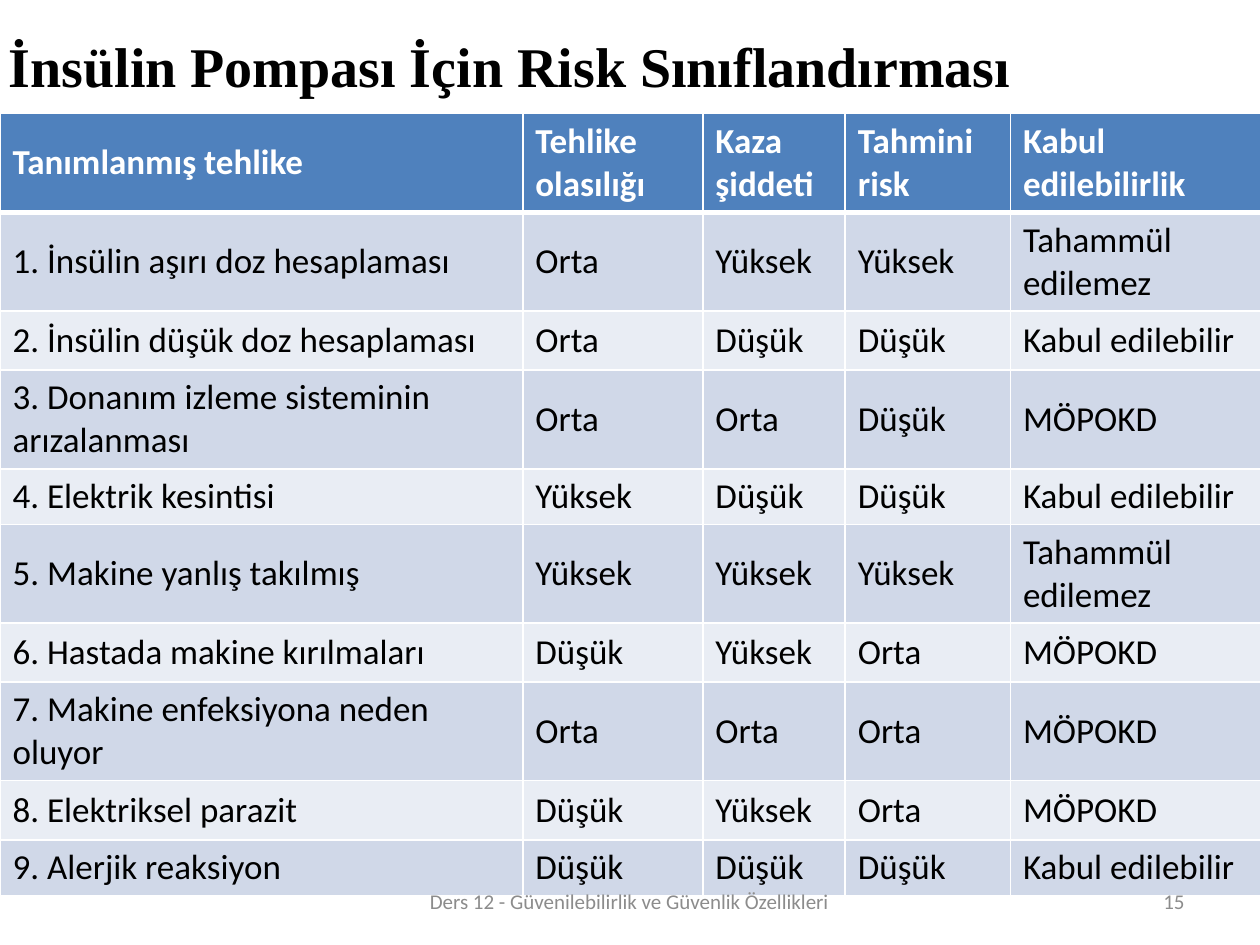
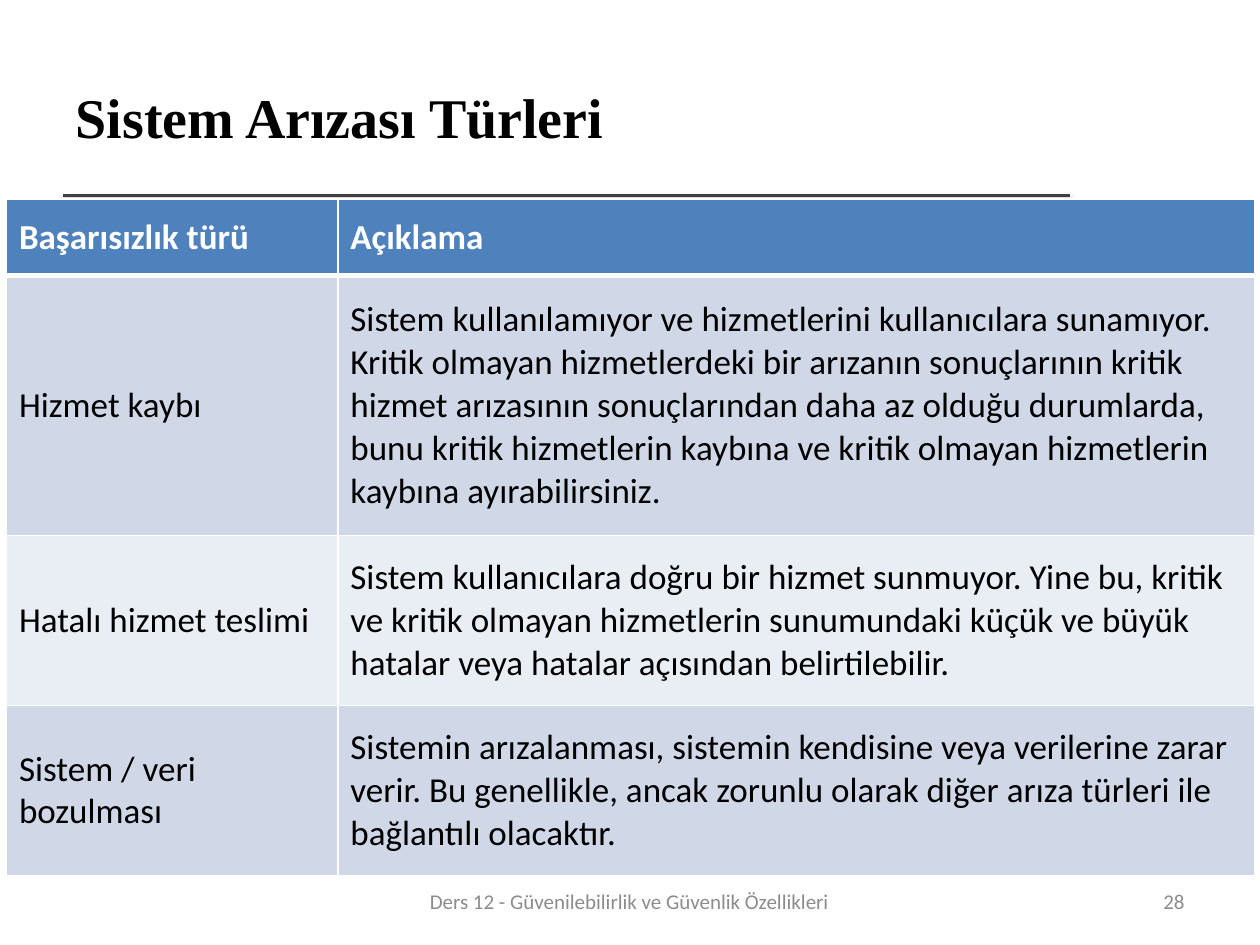
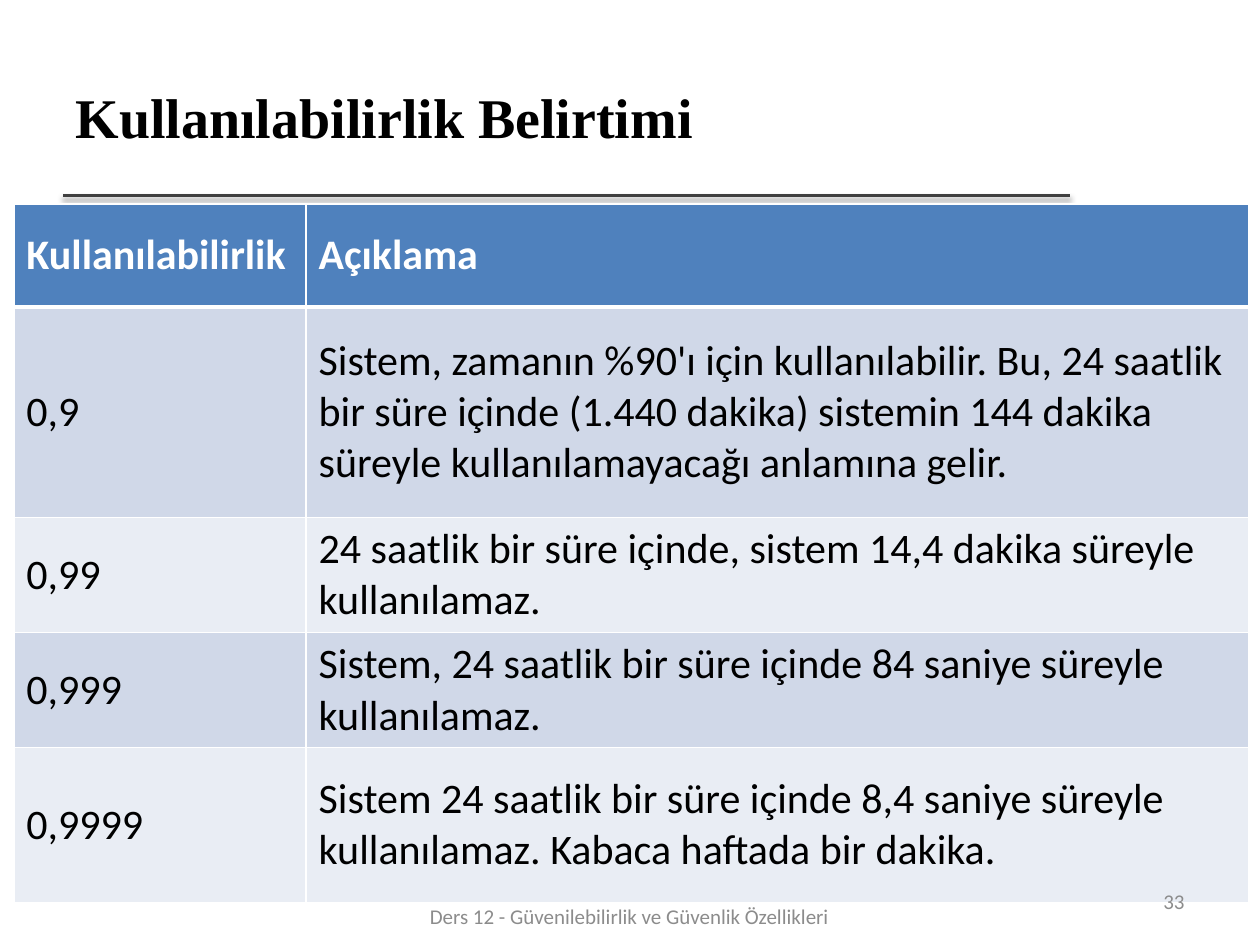
from dataclasses import dataclass

from lxml.etree import SubElement
from pptx import Presentation
from pptx.dml.color import RGBColor
from pptx.enum.shapes import MSO_CONNECTOR
from pptx.enum.text import MSO_ANCHOR, PP_ALIGN
from pptx.oxml import parse_xml
from pptx.oxml.ns import nsdecls, qn
from pptx.slide import Slide
from pptx.table import _Cell
from pptx.text.text import TextFrame
from pptx.util import Cm, Pt


@dataclass(frozen=True)
class Theme:
    title_font: str = "Times New Roman"
    body_font: str = "Calibri"
    ink: str = "000000"
    paper: str = "FFFFFF"
    rule: str = "404040"
    footer: str = "8C8C8C"
    header_fill: str = "4F81BD"
    band_fills: tuple[str, str] = ("D0D8E8", "E9EDF4")
    title_size: int = 32
    footer_size: int = 12
    rule_width: int = 2
    border_width: int = 1
    header_border_width: int = 3


@dataclass(frozen=True)
class Box:
    left: float
    top: float
    width: float
    height: float


@dataclass(frozen=True)
class TextStyle:
    font: str
    size: int
    color: str
    bold: bool = False
    align: PP_ALIGN = PP_ALIGN.LEFT


@dataclass(frozen=True)
class Grid:
    left: float
    top: float
    columns: tuple[float, ...]
    rows: tuple[float, ...]
    text_size: int
    cells: tuple[tuple[str, ...], ...]


@dataclass(frozen=True)
class Page:
    title: str
    number: str
    grid: Grid
    title_box: Box = Box(1.27, 0.76, 20.27, 3.18)
    footer_top: float = 17.65


THEME = Theme()
FOOTER = "Ders 12 - Güvenilebilirlik ve Güvenlik Özellikleri"
ONE_LINE, TWO_LINES, LAST_LINE = 1.19, 1.99, 1.11

RISKS = Grid(
    0, 2.29,
    (10.54, 3.63, 2.87, 3.33, 5.11),
    (TWO_LINES, TWO_LINES, ONE_LINE, TWO_LINES, LAST_LINE,
     TWO_LINES, ONE_LINE, TWO_LINES, ONE_LINE, LAST_LINE),
    20,
    (
        ("Tanımlanmış tehlike", "Tehlike olasılığı", "Kaza şiddeti", "Tahmini risk", "Kabul edilebilirlik"),
        ("1. İnsülin aşırı doz hesaplaması", "Orta", "Yüksek", "Yüksek", "Tahammül edilemez"),
        ("2. İnsülin düşük doz hesaplaması", "Orta", "Düşük", "Düşük", "Kabul edilebilir"),
        ("3. Donanım izleme sisteminin arızalanması", "Orta", "Orta", "Düşük", "MÖPOKD"),
        ("4. Elektrik kesintisi", "Yüksek", "Düşük", "Düşük", "Kabul edilebilir"),
        ("5. Makine yanlış takılmış", "Yüksek", "Yüksek", "Yüksek", "Tahammül edilemez"),
        ("6. Hastada makine kırılmaları", "Düşük", "Yüksek", "Orta", "MÖPOKD"),
        ("7. Makine enfeksiyona neden oluyor", "Orta", "Orta", "Orta", "MÖPOKD"),
        ("8. Elektriksel parazit", "Düşük", "Yüksek", "Orta", "MÖPOKD"),
        ("9. Alerjik reaksiyon", "Düşük", "Düşük", "Düşük", "Kabul edilebilir"),
    ),
)

FAILURES = Grid(
    0.13, 4.01,
    (6.68, 18.49),
    (1.55, 5.23, 3.43, 3.43),
    20,
    (
        ("Başarısızlık türü", "Açıklama"),
        ("Hizmet kaybı",
         "Sistem kullanılamıyor ve hizmetlerini kullanıcılara sunamıyor. Kritik olmayan hizmetlerdeki "
         "bir arızanın sonuçlarının kritik hizmet arızasının sonuçlarından daha az olduğu durumlarda, "
         "bunu kritik hizmetlerin kaybına ve kritik olmayan hizmetlerin kaybına ayırabilirsiniz."),
        ("Hatalı hizmet teslimi",
         "Sistem kullanıcılara doğru bir hizmet sunmuyor. Yine bu, kritik ve kritik olmayan hizmetlerin "
         "sunumundaki küçük ve büyük hatalar veya hatalar açısından belirtilebilir."),
        ("Sistem / veri bozulması",
         "Sistemin arızalanması, sistemin kendisine veya verilerine zarar verir. Bu genellikle, ancak "
         "zorunlu olarak diğer arıza türleri ile bağlantılı olacaktır."),
    ),
)

AVAILABILITY = Grid(
    0.28, 4.11,
    (5.89, 19),
    (2.08, 4.24, 2.32, 2.32, 3.12),
    24,
    (
        ("Kullanılabilirlik", "Açıklama"),
        ("0,9",
         "Sistem, zamanın %90'ı için kullanılabilir. Bu, 24 saatlik bir süre içinde (1.440 dakika) "
         "sistemin 144 dakika süreyle kullanılamayacağı anlamına gelir."),
        ("0,99", "24 saatlik bir süre içinde, sistem 14,4 dakika süreyle kullanılamaz."),
        ("0,999", "Sistem, 24 saatlik bir süre içinde 84 saniye süreyle kullanılamaz."),
        ("0,9999",
         "Sistem 24 saatlik bir süre içinde 8,4 saniye süreyle kullanılamaz. Kabaca haftada bir dakika."),
    ),
)

PAGES = (
    Page("İnsülin Pompası İçin Risk Sınıflandırması", "15", RISKS, Box(-0.08, -0.28, 22.86, 3.18)),
    Page("Sistem Arızası Türleri", "28", FAILURES),
    Page("Kullanılabilirlik Belirtimi", "33", AVAILABILITY, footer_top=17.96),
)


def write(frame: TextFrame, text: str, style: TextStyle) -> None:
    para = frame.paragraphs[0]
    para.alignment = style.align
    span = para.add_run()
    span.text = text
    span.font.name = style.font
    span.font.size = Pt(style.size)
    span.font.bold = style.bold
    span.font.color.rgb = RGBColor.from_string(style.color)


def add_title(slide: Slide, text: str, box: Box) -> None:
    title = slide.shapes.title
    title.left, title.top = Cm(box.left), Cm(box.top)
    title.width, title.height = Cm(box.width), Cm(box.height)
    title.text_frame.vertical_anchor = MSO_ANCHOR.MIDDLE
    write(title.text_frame, text, TextStyle(THEME.title_font, THEME.title_size, THEME.ink, True))


def add_rule(slide: Slide) -> None:
    rule = slide.shapes.add_connector(MSO_CONNECTOR.STRAIGHT, Cm(1.27), Cm(3.94), Cm(21.56), Cm(3.94))
    rule.line.color.rgb = RGBColor.from_string(THEME.rule)
    rule.line.width = Pt(THEME.rule_width)
    rule._element.spPr.append(parse_xml(
        f'<a:effectLst {nsdecls("a")}>'
        '<a:outerShdw blurRad="40000" dist="20000" dir="5400000" rotWithShape="0">'
        f'<a:srgbClr val="{THEME.ink}"><a:alpha val="38000"/></a:srgbClr>'
        '</a:outerShdw></a:effectLst>'
    ))


def add_borders(cell: _Cell, top: int, bottom: int) -> None:
    properties = cell._tc.get_or_add_tcPr()
    side = THEME.border_width
    for tag, width in (("a:lnL", side), ("a:lnR", side), ("a:lnT", top), ("a:lnB", bottom)):
        line = SubElement(properties, qn(tag), w=str(Pt(width)))
        fill = SubElement(line, qn("a:solidFill"))
        SubElement(fill, qn("a:srgbClr"), val=THEME.paper)


def format_cell(cell: _Cell, row: int, text: str, size: int) -> None:
    header = row == 0
    top = THEME.header_border_width if row == 1 else THEME.border_width
    bottom = THEME.header_border_width if header else THEME.border_width
    add_borders(cell, top, bottom)
    cell.fill.solid()
    color = THEME.header_fill if header else THEME.band_fills[(row - 1) % 2]
    cell.fill.fore_color.rgb = RGBColor.from_string(color)
    cell.vertical_anchor = MSO_ANCHOR.MIDDLE
    ink = THEME.paper if header else THEME.ink
    write(cell.text_frame, text, TextStyle(THEME.body_font, size, ink, header))


def add_grid(slide: Slide, grid: Grid) -> None:
    table = slide.shapes.add_table(
        len(grid.rows), len(grid.columns), Cm(grid.left), Cm(grid.top),
        Cm(sum(grid.columns)), Cm(sum(grid.rows)),
    ).table
    for column, width in zip(table.columns, grid.columns):
        column.width = Cm(width)
    for row, height in zip(table.rows, grid.rows):
        row.height = Cm(height)
    for row, texts in enumerate(grid.cells):
        for column, text in enumerate(texts):
            format_cell(table.cell(row, column), row, text, grid.text_size)


def add_footer_text(slide: Slide, text: str, box: Box, align: PP_ALIGN) -> None:
    shape = slide.shapes.add_textbox(Cm(box.left), Cm(box.top), Cm(box.width), Cm(box.height))
    frame = shape.text_frame
    frame.word_wrap = True
    frame.vertical_anchor = MSO_ANCHOR.MIDDLE
    write(frame, text, TextStyle(THEME.body_font, THEME.footer_size, THEME.footer, align=align))


def main() -> None:
    deck = Presentation()
    deck.slide_width, deck.slide_height = Cm(25.4), Cm(19.05)
    title_only = deck.slide_layouts[5]
    for page in PAGES:
        slide = deck.slides.add_slide(title_only)
        add_rule(slide)
        add_title(slide, page.title, page.title_box)
        add_grid(slide, page.grid)
        add_footer_text(slide, page.number, Box(18.21, 17.65, 5.92, 1.02), PP_ALIGN.RIGHT)
        add_footer_text(slide, FOOTER, Box(7.19, page.footer_top, 11, 1.02), PP_ALIGN.CENTER)
    deck.save("out.pptx")


if __name__ == "__main__":
    main()
